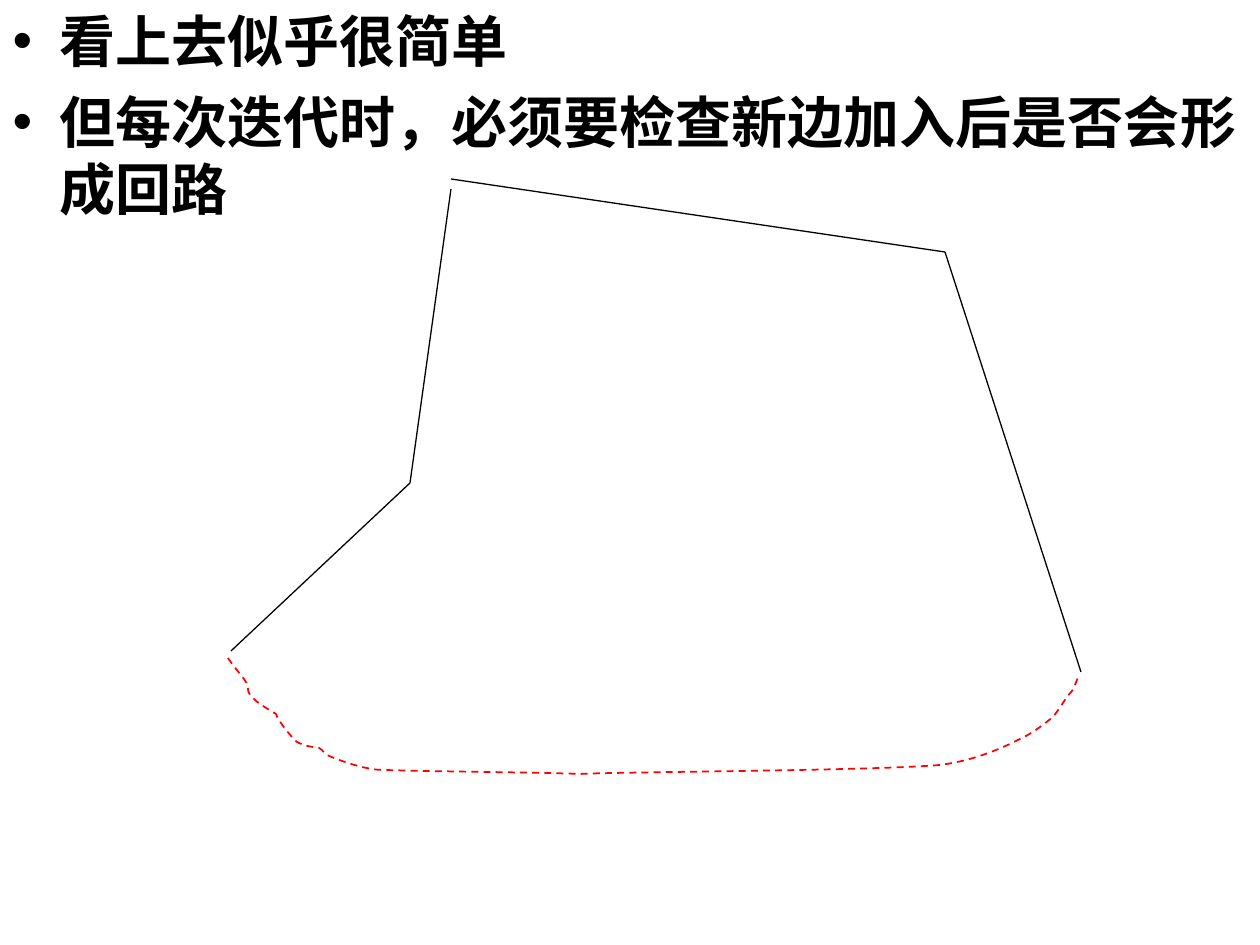
from lxml.etree import SubElement
from pptx import Presentation
from pptx.dml.color import RGBColor
from pptx.enum.dml import MSO_LINE_DASH_STYLE as DASH
from pptx.enum.shapes import MSO_CONNECTOR as CONNECTOR
from pptx.enum.text import MSO_ANCHOR, MSO_AUTO_SIZE
from pptx.oxml.ns import qn
from pptx.util import Emu, Pt

SCALE = 914400 / 126  # EMU per px
BLACK, RED = "000000", "FF0000"

BULLETS = ["看上去似乎很简单", "但每次迭代时，必须要检查新边加入后是否会形成回路"]

# Accepted edges: two chains of points
CHAINS = [
    [(231, 651), (410, 483), (451, 189)],
    [(451, 179), (945, 252), (1081, 672)],
]

# Closing edge: start point, then two control points and an end per curve
LOOP_START = (228, 658)
LOOP_CURVES = [
    [(228, 659), (244, 679), (244, 679)],
    [(253, 692), (242, 688), (256, 701)],
    [(262, 706), (276, 714), (276, 714)],
    [(278, 721), (292, 738), (297, 742)],
    [(304, 746), (311, 747), (319, 748)],
    [(323, 750), (325, 755), (329, 756)],
    [(343, 762), (367, 770), (382, 770)],
    [(449, 772), (514, 772), (581, 774)],
    [(621, 772), (848, 771), (927, 766)],
    [(959, 765), (994, 753), (1022, 738)],
    [(1029, 735), (1036, 730), (1043, 725)],
    [(1047, 722), (1053, 717), (1053, 717)],
    [(1058, 711), (1063, 703), (1067, 697)],
    [(1070, 693), (1074, 690), (1075, 685)],
    [(1076, 683), (1079, 675), (1079, 675)],
]


def px(n):
    return Emu(round(n * SCALE))


def color(hex_code):
    return RGBColor.from_string(hex_code)


def set_line(shape, hex_code, width):
    shape.line.color.rgb = color(hex_code)
    shape.line.width = Pt(width)


def fill_bullets(body, items):
    body.left, body.top, body.width, body.height = px(0), px(0), px(1260), px(788)
    tf = body.text_frame
    tf.text = "\n".join(items)
    tf.word_wrap = True
    tf.auto_size = MSO_AUTO_SIZE.NONE
    tf.vertical_anchor = MSO_ANCHOR.TOP
    for p in tf.paragraphs:
        p.space_before = Pt(8)
        p.font.name, p.font.size, p.font.bold = "Arial", Pt(32), True
        p.font.color.rgb = color(BLACK)
        pPr = p._p.get_or_add_pPr()
        pPr.set("marL", str(px(47)))
        pPr.set("indent", str(px(-47)))


def add_edge(s, start, end):
    edge = s.shapes.add_connector(CONNECTOR.STRAIGHT, *map(px, start + end))
    set_line(edge, BLACK, 0.75)
    SubElement(edge._element.spPr, qn("a:effectLst"))


def add_dashed_curve(s, start, curves):
    points = [pt for curve in curves for pt in curve]
    builder = s.shapes.build_freeform(*start, scale=SCALE)
    builder.add_line_segments(points, close=False)
    sp = builder.convert_to_shape()
    # Join every three segments into one cubic curve
    path = sp._element.find(".//" + qn("a:path"))
    segments = path.findall(qn("a:lnTo"))
    for i in range(0, len(segments), 3):
        cubic = SubElement(path, qn("a:cubicBezTo"))
        for segment in segments[i:i + 3]:
            cubic.append(segment[0])
            path.remove(segment)
    sp.fill.background()
    set_line(sp, RED, 1)
    sp.line.dash_style = DASH.DASH
    sp.shadow.inherit = False


def main():
    prs = Presentation()
    prs.slide_width, prs.slide_height = px(1260), px(945)
    s = prs.slides.add_slide(prs.slide_layouts[1])

    # Text
    title = s.shapes.title._element
    title.getparent().remove(title)
    fill_bullets(s.placeholders[1], BULLETS)

    # Edges and the loop they would form
    for chain in CHAINS:
        for start, end in zip(chain, chain[1:]):
            add_edge(s, start, end)
    add_dashed_curve(s, LOOP_START, LOOP_CURVES)

    prs.save("out.pptx")


if __name__ == "__main__":
    main()
